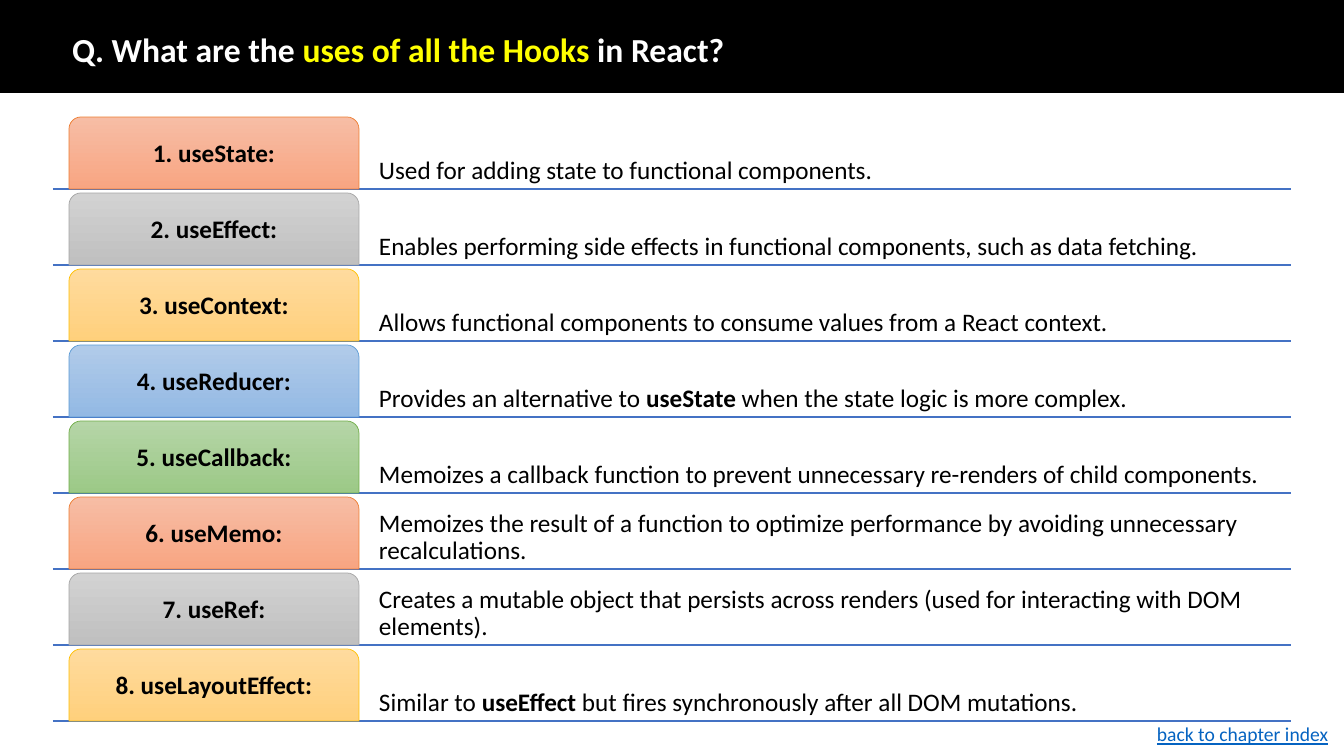
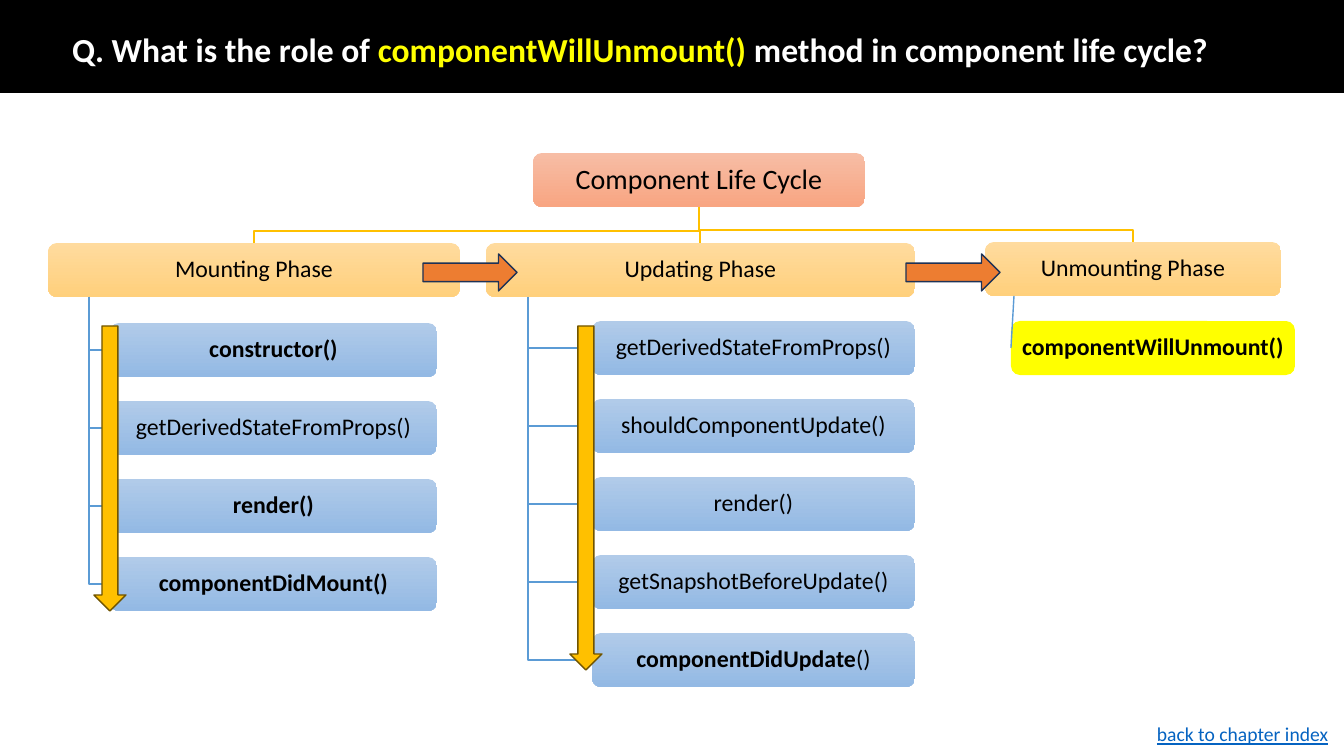
from lxml import etree
from pptx import Presentation
from pptx.dml.color import RGBColor
from pptx.enum.shapes import MSO_CONNECTOR, MSO_SHAPE
from pptx.enum.text import MSO_ANCHOR, MSO_AUTO_SIZE, PP_ALIGN
from pptx.oxml.ns import qn
from pptx.util import Pt

PX = 914400 / 100.8
WIDTH, HEIGHT = 1344, 756
FONT = "Calibri"
TAB, NODE = MSO_SHAPE.ROUND_2_SAME_RECTANGLE, MSO_SHAPE.FLOWCHART_ALTERNATE_PROCESS
RECTANGLE = MSO_SHAPE.RECTANGLE
RIGHT_ARROW, DOWN_ARROW = MSO_SHAPE.RIGHT_ARROW, MSO_SHAPE.DOWN_ARROW
STRAIGHT = MSO_CONNECTOR.STRAIGHT
LEFT, CENTER = PP_ALIGN.LEFT, PP_ALIGN.CENTER
MIDDLE, BOTTOM, TOP = MSO_ANCHOR.MIDDLE, MSO_ANCHOR.BOTTOM, MSO_ANCHOR.TOP

COLORS = {
    "black": "000000", "white": "FFFFFF", "yellow": "FFFF00", "link": "0563C1",
    "rule": "4472C4", "orange": "ED7D31", "gray": "A5A5A5", "gold": "FFC000",
    "blue": "5B9BD5", "green": "70AD47", "navy": "1E3256", "brown": "705400",
}
GRADIENTS = {
    "orange": ("F7BDA5", "F8A582"), "gray": ("D2D2D2", "C0C0C0"),
    "gold": ("FFDB9E", "FFD07C"), "blue": ("B1CBE9", "93B9E4"),
    "green": ("B5D5A7", "9CC987"),
}

# Asterisks enclose the emphasized part of a text.
HOOKS_TITLE = "Q. What are the *uses of all the Hooks* in React?"
HOOKS = [
    ("useState", "Used for adding state to functional components."),
    ("useEffect", "Enables performing side effects in functional components, such as data fetching."),
    ("useContext", "Allows functional components to consume values from a React context."),
    ("useReducer", "Provides an alternative to *useState* when the state logic is more complex."),
    ("useCallback", "Memoizes a callback function to prevent unnecessary re-renders of child components."),
    ("useMemo", "Memoizes the result of a function to optimize performance by avoiding unnecessary recalculations."),
    ("useRef", "Creates a mutable object that persists across renders (used for interacting with DOM elements)."),
    ("useLayoutEffect", "Similar to *useEffect* but fires synchronously after all DOM mutations."),
]
TAB_CYCLE = ["orange", "gray", "gold", "blue", "green"]
TAB_TOP, TAB_HEIGHT, TAB_PITCH = 117, 72, 76

CYCLE_TITLE = "Q. What is the role of *componentWillUnmount()* method in component life cycle?"
ROOT = ("Component Life Cycle", (533, 153, 332, 54))
PHASES = [
    {"name": "Mounting Phase", "box": (48, 243, 412, 54), "first": (110, 323, 327, 54),
     "methods": ["*constructor()*", "getDerivedStateFromProps()", "*render()*",
                 "*componentDidMount()*"]},
    {"name": "Updating Phase", "box": (486, 243, 429, 54), "first": (592, 321, 323, 54),
     "methods": ["getDerivedStateFromProps()", "shouldComponentUpdate()", "render()",
                 "getSnapshotBeforeUpdate()", "*componentDidUpdate*()"]},
    {"name": "Unmounting Phase", "box": (985, 242, 296, 54), "first": (1011, 321, 284, 54),
     "methods": ["*componentWillUnmount()*"]},
]
METHOD_PITCH = 78
PHASE_ARROWS = [(423, 254, 94, 37), (906, 254, 94, 37)]
ORDER_ARROWS = [(94, 326, 32, 285), (570, 326, 32, 344)]
INDEX_LINK = "back to chapter index"


def emu(*lengths):
    return [round(length * PX) for length in lengths]


def rgb(name):
    return RGBColor.from_string(COLORS[name])


def write(frame, text, size, color="black", bold=False, accent=None,
          align=LEFT, anchor=MIDDLE, inset=None, spacing=0.9):
    """Write one paragraph; parts between asterisks are bold, in the accent colour."""
    frame.word_wrap = True
    frame.auto_size = MSO_AUTO_SIZE.NONE
    frame.vertical_anchor = anchor
    if inset is not None:
        margin = emu(inset)[0]
        frame.margin_left = frame.margin_right = margin
        frame.margin_top = frame.margin_bottom = margin
    paragraph = frame.paragraphs[0]
    paragraph.alignment = align
    paragraph.line_spacing = spacing
    for index, part in enumerate(text.split("*")):
        if not part:
            continue
        emphasized = index % 2 == 1
        run = paragraph.add_run()
        run.text = part
        run.font.name = FONT
        run.font.size = Pt(size)
        run.font.bold = bold or emphasized
        run.font.color.rgb = rgb(accent if accent and emphasized else color)
    return paragraph


def add_shape(slide, kind, box, fill, line=None, line_width=1.0, gradient=False):
    shape = slide.shapes.add_shape(kind, *emu(*box))
    shape.shadow.inherit = False
    if gradient:
        shape.fill.gradient()
        shape.fill.gradient_angle = 270
        for stop, color in zip(shape.fill.gradient_stops, GRADIENTS[fill]):
            stop.color.rgb = RGBColor.from_string(color)
    else:
        shape.fill.solid()
        shape.fill.fore_color.rgb = rgb(fill)
    set_line(shape, line, line_width)
    return shape


def set_line(shape, color, width=1.0):
    if color:
        shape.line.color.rgb = rgb(color)
        shape.line.width = Pt(width)
    else:
        shape.line.fill.background()


def add_straight(slide, start, end, color):
    connector = slide.shapes.add_connector(STRAIGHT, *emu(*start, *end))
    set_line(connector, color)
    etree.SubElement(connector.element.spPr, qn("a:effectLst"))
    return connector


def add_polyline(slide, points, color):
    corners = [emu(*point) for point in points]
    builder = slide.shapes.build_freeform(*corners[0])
    builder.add_line_segments(corners[1:], close=False)
    shape = builder.convert_to_shape()
    shape.shadow.inherit = False
    shape.fill.background()
    set_line(shape, color)


def add_text(slide, box, text, size, **style):
    textbox = slide.shapes.add_textbox(*emu(*box))
    return write(textbox.text_frame, text, size, **style)


def add_question_slide(presentation, question):
    """Add a slide with the black band, its question and the index link."""
    slide = presentation.slides.add_slide(presentation.slide_layouts[5])
    title = slide.shapes.title
    title.left, title.top, title.width, title.height = emu(62, 34, 1159, 35)
    write(title.text_frame, question, 24, color="white", bold=True, accent="yellow")
    band = add_shape(slide, RECTANGLE, (0, 0, WIDTH, 92), "black", "black")
    title.element.addprevious(band.element)
    paragraph = add_text(slide, (1147, 717, 197, 34), INDEX_LINK, 14, color="link",
                         anchor=TOP, spacing=1.0)
    paragraph.runs[0].font.underline = True
    return slide


def add_node(slide, text, box, color, size=17, gradient=True):
    node = add_shape(slide, NODE, box, color, gradient=gradient)
    write(node.text_frame, text, size, align=CENTER, inset=1)
    return node


def build_hooks(presentation):
    slide = add_question_slide(presentation, HOOKS_TITLE)
    for index, (hook, use) in enumerate(HOOKS):
        top = TAB_TOP + index * TAB_PITCH
        bottom = top + TAB_HEIGHT
        color = TAB_CYCLE[index % len(TAB_CYCLE)]
        add_straight(slide, (53, bottom), (1291, bottom), "rule")
        add_text(slide, (375, top, 917, TAB_HEIGHT), use, 18, anchor=BOTTOM, inset=4)
        tab = add_shape(slide, TAB, (69, top, 290, TAB_HEIGHT), color, color, 0.5, gradient=True)
        write(tab.text_frame, f"{index + 1}. {hook}:", 18, bold=True, align=CENTER, inset=4)


def add_phase(slide, phase):
    """Add a phase below the root, with its methods hanging from a trunk line."""
    root_left, root_top, root_width, root_height = ROOT[1]
    root_center, root_bottom = root_left + root_width // 2, root_top + root_height
    left, top, width, height = phase["box"]
    center, bend = left + width // 2, top - 12
    add_polyline(slide, [(root_center, root_bottom), (root_center, bend),
                         (center, bend), (center, top)], "gold")
    add_node(slide, phase["name"], phase["box"], "gold")

    trunk, bottom = left + width // 10, top + height
    method_left, first_top, method_width, method_height = phase["first"]
    single = len(phase["methods"]) == 1
    for index, method in enumerate(phase["methods"]):
        method_top = first_top + index * METHOD_PITCH
        middle = method_top + method_height // 2
        box = (method_left, method_top, method_width, method_height)
        node = add_node(slide, method, box, "yellow" if single else "blue", gradient=not single)
        if single:
            link = add_straight(slide, (trunk, bottom), (method_left, middle), "blue")
            link.end_connect(node, 1)
        else:
            add_polyline(slide, [(trunk, bottom), (trunk, middle), (method_left, middle)], "blue")


def build_life_cycle(presentation):
    slide = add_question_slide(presentation, CYCLE_TITLE)
    add_node(slide, *ROOT, "orange", size=20)
    for phase in PHASES:
        add_phase(slide, phase)
    for box in PHASE_ARROWS:
        add_shape(slide, RIGHT_ARROW, box, "orange", "navy")
    for box in ORDER_ARROWS:
        add_shape(slide, DOWN_ARROW, box, "gold", "brown")


def main():
    presentation = Presentation()
    presentation.slide_width, presentation.slide_height = emu(WIDTH, HEIGHT)
    build_hooks(presentation)
    build_life_cycle(presentation)
    presentation.save("out.pptx")


if __name__ == "__main__":
    main()
